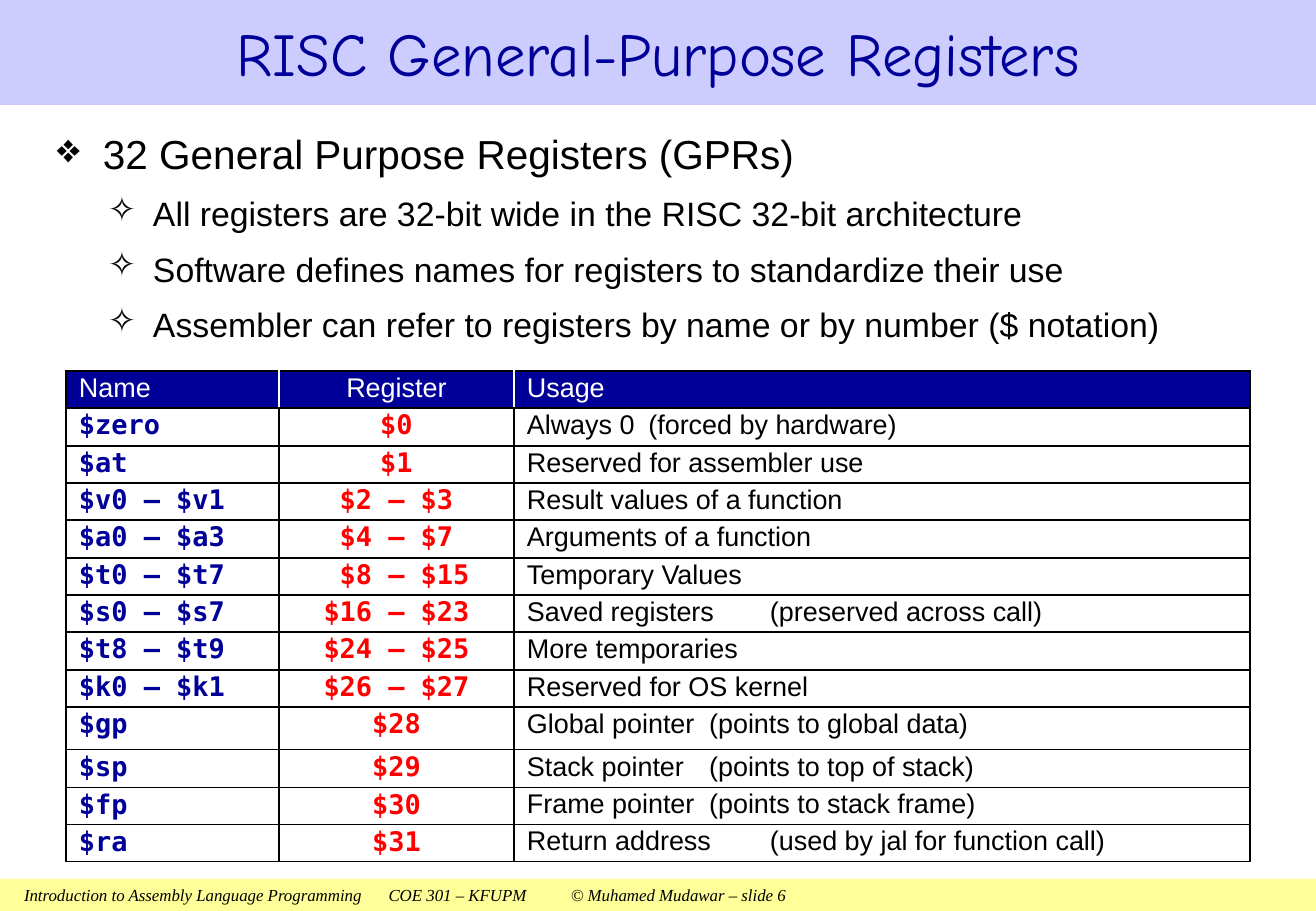
from lxml.etree import SubElement
from pptx import Presentation
from pptx.dml.color import RGBColor
from pptx.enum.shapes import MSO_SHAPE
from pptx.enum.text import MSO_ANCHOR, MSO_AUTO_SIZE, PP_ALIGN
from pptx.oxml.ns import qn
from pptx.util import Emu, Pt

SCALE = 914400 / 121.5
THEME = {
    "navy": RGBColor(0x00, 0x00, 0x99),
    "lilac": RGBColor(0xCC, 0xCC, 0xFF),
    "cream": RGBColor(0xFF, 0xFF, 0x99),
    "red": RGBColor(0xFF, 0x00, 0x00),
    "black": RGBColor(0x00, 0x00, 0x00),
    "white": RGBColor(0xFF, 0xFF, 0xFF),
    "title": 36, "head": 24, "point": 20, "cell": 16, "foot": 10,
    "hand": "Comic Neue", "sans": "Arial",
    "mono": "DejaVu Sans Mono", "serif": "Times New Roman",
}


def px(count):
    return Emu(round(count * SCALE))


def write(para, text, face, size, color, bold=False, italic=False):
    run = para.add_run()
    run.text = text
    font = run.font
    font.name, font.size = THEME[face], Pt(THEME[size])
    font.color.rgb = THEME[color]
    font.bold, font.italic = bold, italic


deck = Presentation()
deck.slide_width, deck.slide_height = px(1316), px(911)
slide = deck.slides.add_slide(deck.slide_layouts[5])

title = slide.shapes.title
title.left, title.top, title.width, title.height = px(0), px(0), px(1316), px(105)
title.fill.solid()
title.fill.fore_color.rgb = THEME["lilac"]
frame = title.text_frame
frame.auto_size = MSO_AUTO_SIZE.NONE
frame.vertical_anchor = MSO_ANCHOR.MIDDLE
para = frame.paragraphs[0]
para.alignment = PP_ALIGN.CENTER
write(para, "RISC General-Purpose Registers", "hand", "title", "navy")

footer = slide.shapes.add_shape(MSO_SHAPE.RECTANGLE, px(0), px(879), px(1316), px(32))
footer.shadow.inherit = False
footer.fill.solid()
footer.fill.fore_color.rgb = THEME["cream"]
footer.line.fill.background()
frame = footer.text_frame
frame.margin_left, frame.margin_top, frame.margin_bottom = px(24), px(0), px(0)
frame.vertical_anchor = MSO_ANCHOR.MIDDLE
para = frame.paragraphs[0]
para.alignment = PP_ALIGN.LEFT
write(para, "Introduction to Assembly Language Programming\tCOE 301 – KFUPM\t"
      "© Muhamed Mudawar – slide 6", "serif", "foot", "black", italic=True)

points = [
    (0, "32 General Purpose Registers (GPRs)"),
    (1, "All registers are 32-bit wide in the RISC 32-bit architecture"),
    (1, "Software defines names for registers to standardize their use"),
    (1, "Assembler can refer to registers by name or by number ($ notation)"),
]
styles = [("❖", 46, 46, "head"), ("✧", 96, 45, "point")]
body = slide.shapes.add_textbox(px(45), px(119), px(1227), px(245))
frame = body.text_frame
frame.word_wrap = True
frame.margin_top = px(10)
for order, (level, text) in enumerate(points):
    mark, indent, hang, size = styles[level]
    para = frame.add_paragraph() if order else frame.paragraphs[0]
    para.level = level
    props = para._p.get_or_add_pPr()
    props.set("marL", str(px(indent)))
    props.set("indent", str(-px(hang)))
    SubElement(props, qn("a:buChar")).set("char", mark)
    if order:
        para.space_before = Pt(9)
    write(para, text, "sans", size, "black")

rows = [
    ("Name", "Register", "Usage"),
    ("$zero", "$0", "Always 0\t(forced by hardware)"),
    ("$at", "$1", "Reserved for assembler use"),
    ("$v0 – $v1", "$2 – $3", "Result values of a function"),
    ("$a0 – $a3", "$4 – $7", "Arguments of a function"),
    ("$t0 – $t7", " $8 – $15", "Temporary Values"),
    ("$s0 – $s7", "$16 – $23", "Saved registers\t(preserved across call)"),
    ("$t8 – $t9", "$24 – $25", "More temporaries"),
    ("$k0 – $k1", "$26 – $27", "Reserved for OS kernel"),
    ("$gp", "$28", "Global pointer\t(points to global data)"),
    ("$sp", "$29", "Stack pointer\t(points to top of stack)"),
    ("$fp", "$30", "Frame pointer\t(points to stack frame)"),
    ("$ra", "$31", "Return address\t(used by jal for function call)"),
]
heights = [38 if row % 3 == 1 else 37 for row in range(len(rows))]
heights[9] = 43
widths = [213, 235, 736]
looks = [("mono", "navy", True), ("mono", "red", True), ("sans", "black", False)]

table = slide.shapes.add_table(len(rows), len(widths), px(66), px(371),
                               px(sum(widths)), px(sum(heights))).table
table.first_row = table.horz_banding = False
for col, width in enumerate(widths):
    table.columns[col].width = px(width)
for row, texts in enumerate(rows):
    table.rows[row].height = px(heights[row])
    for col, text in enumerate(texts):
        cell = table.cell(row, col)
        cell.margin_left = cell.margin_right = px(13)
        cell.margin_top = cell.margin_bottom = px(2)
        props = cell._tc.get_or_add_tcPr()
        for side in ("L", "R", "T", "B"):
            inner = (side == "L" and col > 0) or (side == "R" and col < 2)
            edge = SubElement(props, qn("a:ln" + side), w=str(Pt(1)))
            paint = SubElement(edge, qn("a:solidFill"))
            tint = THEME["white" if row == 0 and inner else "black"]
            SubElement(paint, qn("a:srgbClr"), val=str(tint))
        if row == 0:
            cell.fill.solid()
            cell.fill.fore_color.rgb = THEME["navy"]
        else:
            cell.fill.background()
        para = cell.text_frame.paragraphs[0]
        para.alignment = PP_ALIGN.CENTER if col == 1 else PP_ALIGN.LEFT
        face, color, bold = looks[col] if row else ("sans", "white", False)
        write(para, text, face, "cell", color, bold)

deck.save("out.pptx")
